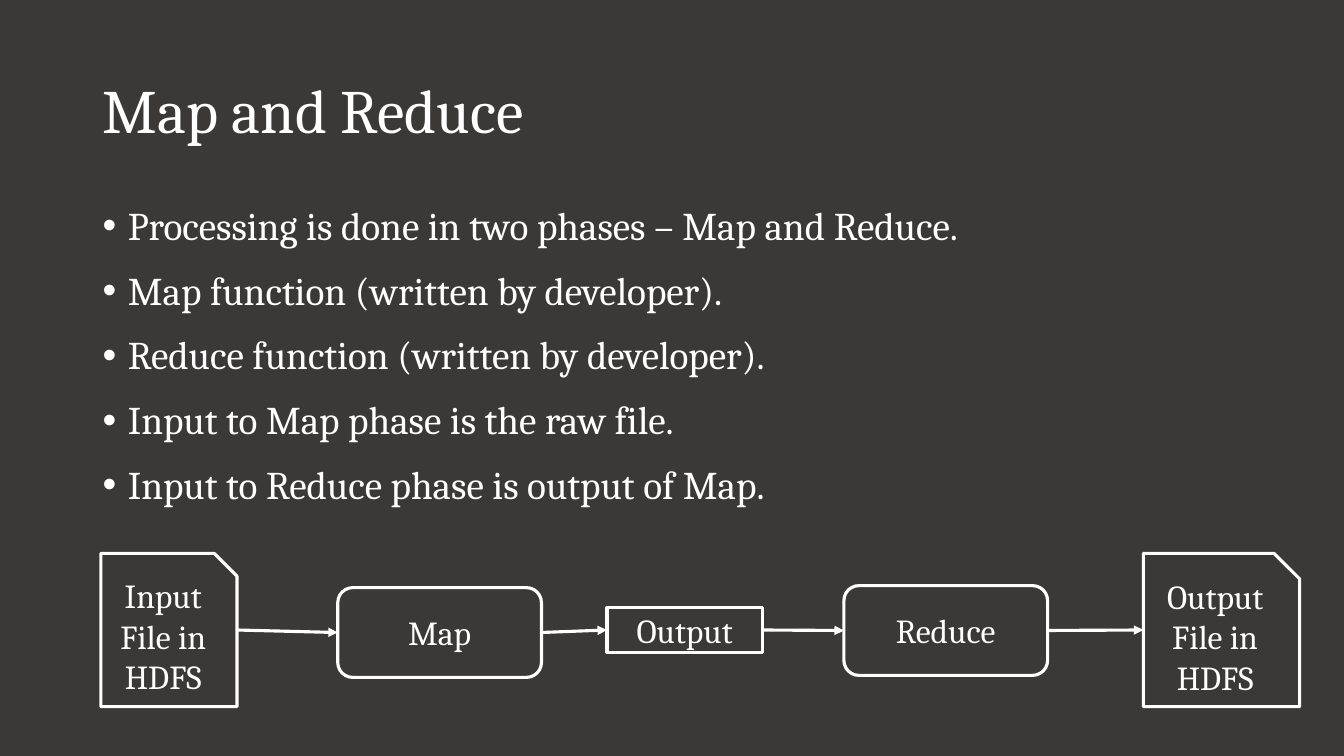
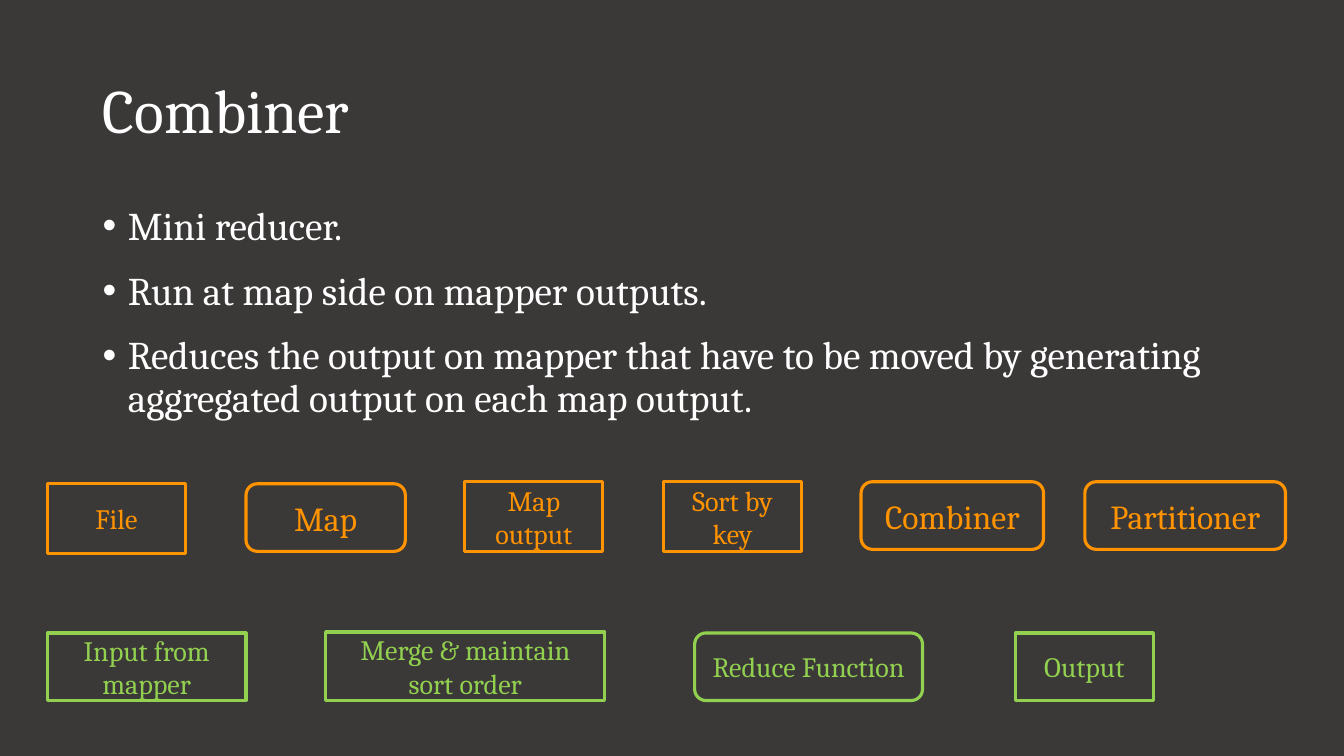
from lxml import etree
from pptx import Presentation, util as u
from pptx.dml import color
from pptx.enum import shapes, text
from pptx.oxml import ns

FONT = "Cambria"
BACKGROUND, WHITE, ORANGE, GREEN = "3B3838", "FFFFFF", "FF9300", "92D050"
LINE_WIDTH = u.Pt(2.25)
RECT = shapes.MSO_SHAPE.RECTANGLE
ROUND = shapes.MSO_SHAPE.ROUNDED_RECTANGLE
SNIP = shapes.MSO_SHAPE.SNIP_1_RECTANGLE

# Paragraph formats shared by both slides
TITLE = {"line_spacing": 0.9}
BULLET = {"line_spacing": 0.9, "space_before": u.Pt(10), "space_after": u.Pt(6)}
LABEL = {"alignment": text.PP_ALIGN.CENTER}


def rgb(value):
    return color.RGBColor.from_string(value)


def inches(*lengths):
    return [u.Inches(length) for length in lengths]


def add_child(parent, tag, **attributes):
    return etree.SubElement(parent, ns.qn(tag), attributes)


def write(paragraph, words, size, hex_color, formats):
    paragraph.text = words
    for name, value in formats.items():
        setattr(paragraph, name, value)
    font = paragraph.font
    for name, value in {"name": FONT, "size": u.Pt(size)}.items():
        setattr(font, name, value)
    font.color.rgb = rgb(hex_color)


def style_line(line, hex_color):
    line.color.rgb = rgb(hex_color)
    line.width = LINE_WIDTH


def add_text_frame(slide, place, anchor):
    frame = slide.shapes.add_textbox(*inches(*place)).text_frame
    frame.word_wrap = True
    frame.vertical_anchor = anchor
    return frame


def add_bullets(slide, height, items):
    frame = add_text_frame(slide, (0.92, 2, 11.5, height), text.MSO_ANCHOR.TOP)
    for index, item in enumerate(items):
        paragraph = frame.add_paragraph() if index else frame.paragraphs[0]
        properties = paragraph._p.get_or_add_pPr()
        properties.set("marL", str(u.Inches(0.25)))
        properties.set("indent", str(u.Inches(-0.25)))
        add_child(properties, "a:buFont", typeface="Arial")
        add_child(properties, "a:buChar", char="•")
        formats = BULLET if index else {**BULLET, "space_before": u.Pt(0)}
        write(paragraph, item, 28, WHITE, formats)


def add_content_slide(presentation, title, body_height, items):
    slide = presentation.slides.add_slide(presentation.slide_layouts[6])
    fill = slide.background.fill
    fill.solid()
    fill.fore_color.rgb = rgb(BACKGROUND)
    frame = add_text_frame(slide, (0.92, 0.4, 11.5, 1.45), text.MSO_ANCHOR.MIDDLE)
    write(frame.paragraphs[0], title, 44, WHITE, TITLE)
    add_bullets(slide, body_height, items)
    return slide


def add_box(slide, kind, place, label, size, hex_color):
    shape = slide.shapes.add_shape(kind, *inches(*place))
    shape.shadow.inherit = False
    shape.fill.background()
    style_line(shape.line, hex_color)
    frame = shape.text_frame
    frame.word_wrap = True
    frame.vertical_anchor = text.MSO_ANCHOR.MIDDLE
    write(frame.paragraphs[0], label, size, hex_color, LABEL)
    return shape


def add_arrow(slide, source, target):
    """Join the right edge of one box to the left edge of the next."""
    connector = slide.shapes.add_connector(
        shapes.MSO_CONNECTOR.STRAIGHT,
        source.left + source.width, source.top + source.height // 2,
        target.left, target.top + target.height // 2)
    style_line(connector.line, WHITE)
    add_child(connector.line._get_or_add_ln(), "a:tailEnd", type="triangle")
    add_child(connector._element.spPr, "a:effectLst")


def build_map_reduce(presentation):
    slide = add_content_slide(presentation, "Map and Reduce", 3.24, [
        "Processing is done in two phases – Map and Reduce.",
        "Map function (written by developer).",
        "Reduce function (written by developer).",
        "Input to Map phase is the raw file.",
        "Input to Reduce phase is output of Map.",
    ])
    # Data flow from input file to output file
    steps = [
        (SNIP, (1, 5.49, 1.35, 1.52), "Input File in HDFS"),
        (ROUND, (3.35, 5.83, 2.02, 0.89), "Map"),
        (RECT, (6.02, 6.03, 1.54, 0.44), "Output"),
        (ROUND, (8.37, 5.81, 2.02, 0.89), "Reduce"),
        (SNIP, (11.34, 5.49, 1.55, 1.52), "Output File in HDFS"),
    ]
    boxes = [add_box(slide, *step, 24, WHITE) for step in steps]
    for source, target in zip(boxes, boxes[1:]):
        add_arrow(slide, source, target)


def build_combiner(presentation):
    slide = add_content_slide(presentation, "Combiner", 2.52, [
        "Mini reducer.",
        "Run at map side on mapper outputs.",
        "Reduces the output on mapper that have to be moved by generating "
        "aggregated output on each map output.",
    ])
    # Map side in orange, reduce side in green
    map_side = [
        (RECT, (0.47, 4.8, 1.37, 0.69), "File", 20),
        (ROUND, (2.44, 4.8, 1.58, 0.67), "Map", 24),
        (RECT, (4.61, 4.78, 1.37, 0.69), "Map output", 20),
        (RECT, (6.58, 4.78, 1.37, 0.69), "Sort by key", 20),
        (ROUND, (8.54, 4.78, 1.81, 0.67), "Combiner", 24),
        (ROUND, (10.76, 4.78, 1.99, 0.67), "Partitioner", 24),
    ]
    reduce_side = [
        (RECT, (0.47, 6.28, 1.97, 0.67), "Input from mapper", 20),
        (RECT, (3.23, 6.27, 2.77, 0.68), "Merge & maintain sort order", 20),
        (ROUND, (6.89, 6.28, 2.26, 0.67), "Reduce Function", 20),
        (RECT, (10.07, 6.28, 1.37, 0.67), "Output", 20),
    ]
    for row, hex_color in ((map_side, ORANGE), (reduce_side, GREEN)):
        for step in row:
            add_box(slide, *step, hex_color)


def main():
    presentation = Presentation()
    presentation.slide_width, presentation.slide_height = inches(13.33, 7.5)
    build_map_reduce(presentation)
    build_combiner(presentation)
    presentation.save("out.pptx")


if __name__ == "__main__":
    main()
